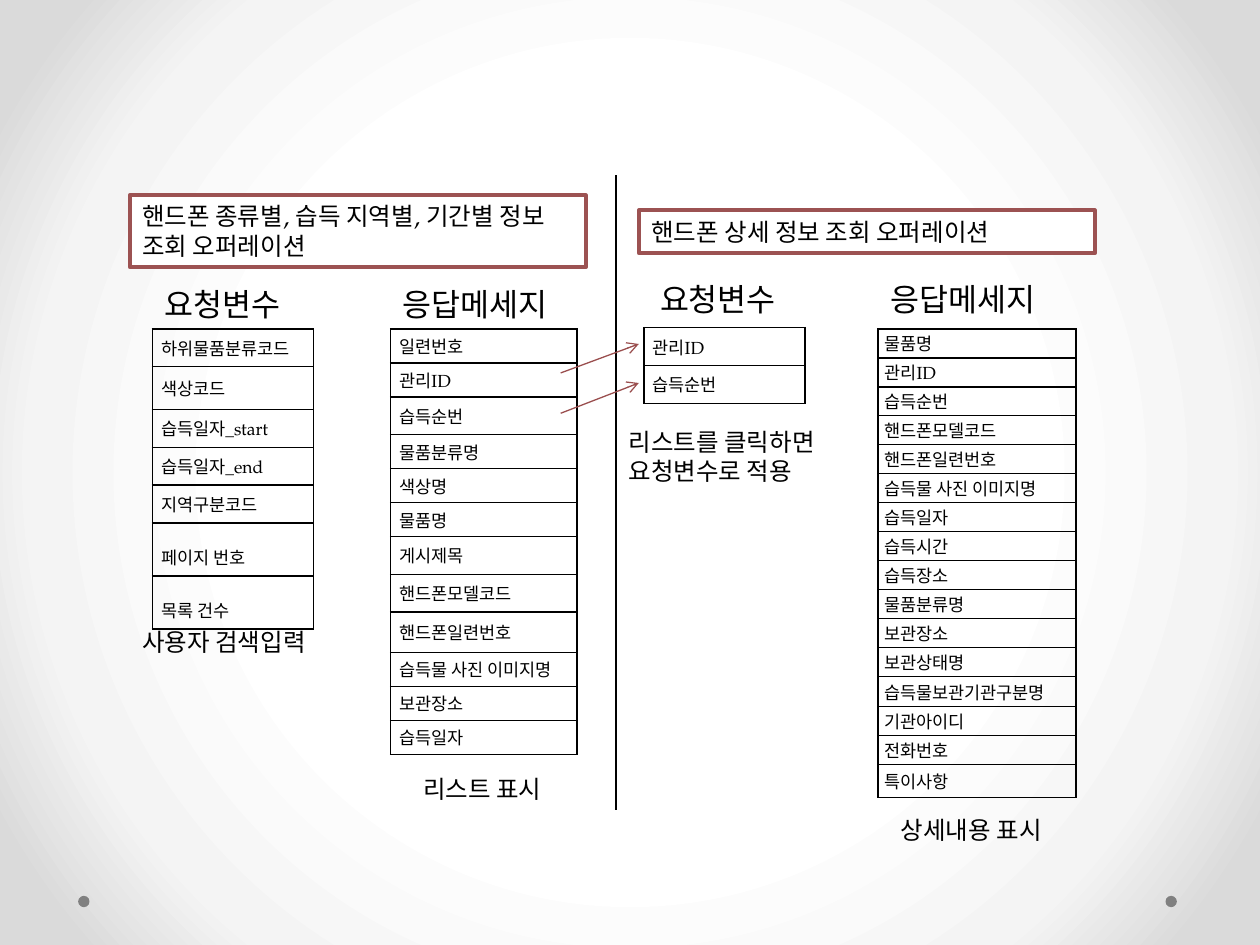
from lxml import etree
from pptx import Presentation
from pptx import util as u
from pptx.dml.color import RGBColor
from pptx.enum import shapes, text
from pptx.oxml import parse_xml
from pptx.oxml.ns import nsdecls, qn

BLACK = RGBColor(0, 0, 0)
WHITE = RGBColor(255, 255, 255)
GRAY = RGBColor(0x80, 0x80, 0x80)
FRAME = RGBColor(0x9C, 0x52, 0x52)
ARROW = RGBColor(0x9A, 0x4E, 0x4E)
FONT = "TeX Gyre Pagella"
BACKDROP = [(50, "FFFFFF"), (76, "F4F4F4"), (92, "DADADA")]
REQUEST_INSET, LIST_INSET, DETAIL_INSET = (0.07, 0.05), (0.07, 0.03), (0.05, 0.01)

TABLES = [
    (1.21, 2.61, 1.28, REQUEST_INSET, [
        ("하위물품분류코드", 0.3), ("색상코드", 0.34), ("습득일자_start", 0.3),
        ("습득일자_end", 0.3), ("지역구분코드", 0.3), ("페이지 번호", 0.42, 1.6),
        ("목록 건수", 0.42, 1.6)]),
    (3.1, 2.61, 1.48, LIST_INSET, [
        ("일련번호", 0.27), ("관리ID", 0.27), ("습득순번", 0.3), ("물품분류명", 0.27),
        ("색상명", 0.27), ("물품명", 0.27), ("게시제목", 0.3), ("핸드폰모델코드", 0.3),
        ("핸드폰일련번호", 0.32), ("습득물 사진 이미지명", 0.27), ("보관장소", 0.27),
        ("습득일자", 0.27)]),
    (5.11, 2.6, 1.28, REQUEST_INSET, [("관리ID", 0.3), ("습득순번", 0.3)]),
    (6.97, 2.61, 1.57, DETAIL_INSET, [
        ("물품명", 0.23), ("관리ID", 0.23), ("습득순번", 0.23), ("핸드폰모델코드", 0.23),
        ("핸드폰일련번호", 0.23), ("습득물 사진 이미지명", 0.23), ("습득일자", 0.23),
        ("습득시간", 0.23), ("습득장소", 0.23), ("물품분류명", 0.23), ("보관장소", 0.23),
        ("보관상태명", 0.23), ("습득물보관기관구분명", 0.24), ("기관아이디", 0.23),
        ("전화번호", 0.23), ("특이사항", 0.26)]),
]
OPERATIONS = [
    ("핸드폰 종류별, 습득 지역별, 기간별 정보 조회 오퍼레이션", 1.03, 1.55, 3.62, 0.57),
    ("핸드폰 상세 정보 조회 오퍼레이션 ", 5.07, 1.67, 3.62, 0.34),
]
HEADINGS = [
    ("요청변수", 1.21, 2.21, 1.26, 0.4), ("응답메세지", 3.1, 2.21, 1.57, 0.4),
    ("요청변수", 5.14, 2.17, 1.26, 0.4), ("응답메세지", 6.97, 2.17, 1.57, 0.4),
]
CAPTIONS = [
    ("사용자 검색입력", 1.03, 4.93, 1.81, 0.34),
    ("리스트 표시", 3.26, 6.09, 1.81, 0.34),
    ("리스트를 클릭하면\n요청변수로 적용", 4.89, 3.34, 1.81, 0.57),
    ("상세내용 표시", 7.05, 6.42, 1.81, 0.34),
]
DIVIDER = (4.89, 1.39, 4.89, 6.43)
ARROWS = [(4.45, 2.96, 5.07, 2.73), (4.45, 3.28, 5.07, 3.04)]
DOTS = [(0.62, 7.11), (9.25, 7.11)]

deck = Presentation()
deck.slide_width, deck.slide_height = u.Inches(10), u.Inches(7.5)
page = deck.slides.add_slide(deck.slide_layouts[6])


def inches(*values):
    return [u.Inches(value) for value in values]


def apply(target, **formats):
    for name, value in formats.items():
        setattr(target, name, value)


def write(frame, words, size, **formats):
    frame.text = words
    for para in frame.paragraphs:
        apply(para, **formats)
        for span in para.runs:
            apply(span.font, name=FONT, size=u.Pt(size))
            span.font.color.rgb = BLACK


def paint_backdrop():
    page.background.fill.gradient()
    stops = "".join(f'<a:gs pos="{share * 1000}"><a:srgbClr val="{color}"/></a:gs>'
                    for share, color in BACKDROP)
    center = " ".join(f'{side}="50000"' for side in "ltrb")
    old = page.element.find(".//" + qn("a:gradFill"))
    old.getparent().replace(old, parse_xml(
        f'<a:gradFill {nsdecls("a")} rotWithShape="1"><a:gsLst>{stops}</a:gsLst>'
        f'<a:path path="circle"><a:fillToRect {center}/></a:path></a:gradFill>'))


def add_words(words, left, top, width, height, size, framed=False):
    place = inches(left, top, width, height)
    if framed:
        box = page.shapes.add_shape(shapes.MSO_SHAPE.RECTANGLE, *place)
        box.shadow.inherit = False
        box.fill.solid()
        box.fill.fore_color.rgb = WHITE
        box.line.color.rgb = FRAME
        box.line.width = u.Pt(2.25)
    else:
        box = page.shapes.add_textbox(*place)
    apply(box.text_frame, word_wrap=True, vertical_anchor=text.MSO_ANCHOR.TOP,
          auto_size=text.MSO_AUTO_SIZE.SHAPE_TO_FIT_TEXT)
    write(box.text_frame, words, size, alignment=text.PP_ALIGN.LEFT)


def add_fields(left, top, width, inset, fields):
    height = sum(field[1] for field in fields)
    table = page.shapes.add_table(len(fields), 1, *inches(left, top, width, height)).table
    apply(table, first_row=False, horz_banding=False)
    side, edge = inches(*inset)
    for index, (words, row_height, *spacing) in enumerate(fields):
        table.rows[index].height = u.Inches(row_height)
        cell = table.cell(index, 0)
        apply(cell, margin_left=side, margin_right=side, margin_top=edge,
              margin_bottom=edge, vertical_anchor=text.MSO_ANCHOR.MIDDLE)
        cell.fill.background()
        write(cell.text_frame, words, 10, alignment=text.PP_ALIGN.JUSTIFY,
              line_spacing=spacing[0] if spacing else None)
        properties = cell.text_frame._txBody.getparent().find(qn("a:tcPr"))
        for order, border in enumerate("LRTB"):
            properties.insert(order, parse_xml(
                f'<a:ln{border} {nsdecls("a")} w="12700"><a:solidFill>'
                f'<a:srgbClr val="{BLACK}"/></a:solidFill></a:ln{border}>'))


def add_line(ends, color, arrow=False):
    line = page.shapes.add_connector(shapes.MSO_CONNECTOR.STRAIGHT, *inches(*ends))
    line.line.color.rgb = color
    line.line.width = u.Pt(0.75)
    if arrow:
        outline = line.element.spPr.find(qn("a:ln"))
        etree.SubElement(outline, qn("a:tailEnd"), type="arrow")
    etree.SubElement(line.element.spPr, qn("a:effectLst"))


paint_backdrop()
for left, top in DOTS:
    dot = page.shapes.add_shape(shapes.MSO_SHAPE.OVAL, *inches(left, top, 0.09, 0.09))
    dot.shadow.inherit = False
    dot.fill.solid()
    dot.fill.fore_color.rgb = GRAY
    dot.line.fill.background()
for fields in TABLES:
    add_fields(*fields)
for operation in OPERATIONS:
    add_words(*operation, size=14, framed=True)
for heading in HEADINGS:
    add_words(*heading, size=18)
add_line(DIVIDER, BLACK)
for ends in ARROWS:
    add_line(ends, ARROW, arrow=True)
for caption in CAPTIONS:
    add_words(*caption, size=14)
deck.save("out.pptx")
